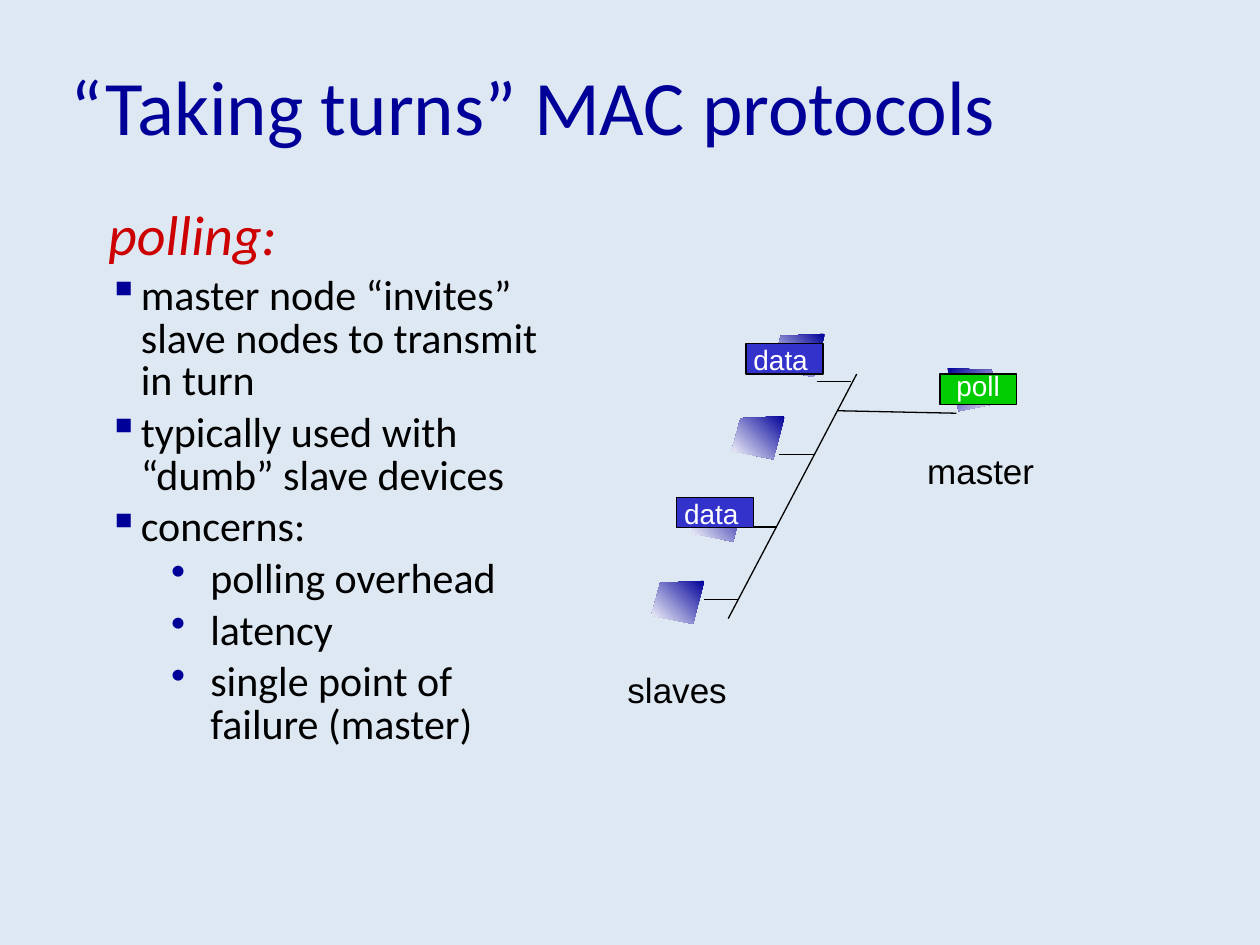
import pptx
import pptx.dml.color
import pptx.enum.shapes
import pptx.enum.text
import pptx.oxml
import pptx.oxml.ns
import pptx.util
from pptx.util import Cm

COLORS = {
    "background": "DEE8F3",
    "navy": "000099",
    "red": "CC0000",
    "black": "000000",
    "white": "FFFFFF",
    "green": "00CC00",
    "blue": "3333CC",
}

TITLE = "“Taking turns” MAC protocols"
HEADING = "polling:"
# Bullet level, text
BULLETS = [
    (0, "master node “invites” slave nodes to transmit in turn"),
    (0, "typically used with “dumb” slave devices"),
    (0, "concerns:"),
    (1, "polling overhead"),
    (1, "latency"),
    (1, "single point of failure (master)"),
]
# Per level: bullet character, left margin, hanging indent
BULLET_STYLES = [("▪", 0.66, 0.66), ("•", 2.06, 0.79)]

# All diagram lengths are in centimetres
SLAVE_COUNT = 4
FIRST_SLAVE, SLAVE_STEP = (13.13, 11.71), (0.81, -1.66)
FIRST_TAP, TAP_STEP, TAP_LENGTH = (14.2, 12.09), (0.755, -1.465), 0.7
MASTER = (19.1, 7.42)
DEVICE_WIDTH = 1.07
DEVICE_OUTLINE = [(1.07, 0), (0.18, 0.04), (0, 0.7), (0.84, 0.87)]
BUS = (17.27, 7.54, 14.68, 12.47)
MASTER_LINK = (16.89, 8.28, 19.28, 8.33)
LABELS = [
    ("master", 18.44, 8.94, 2.67),
    ("slaves", 12.4, 13.36, 2.51),
]
PACKET_SIZE = (1.55, 0.61)
# Text, left, top, fill, text offset across and down, text width
PACKETS = [
    ("poll", 18.95, 7.54, "green", 0.08, -0.23, 1.4),
    ("data", 13.64, 10.03, "blue", -0.1, -0.15, 1.6),
    ("data", 15.04, 6.93, "blue", -0.1, -0.15, 1.6),
]


def rgb(name):
    return pptx.dml.color.RGBColor.from_string(COLORS[name])


def add_run(paragraph, text, size, color, font="Calibri", italic=False):
    run = paragraph.add_run()
    run.text = text
    run.font.name = font
    run.font.size = pptx.util.Pt(size)
    run.font.italic = italic
    run.font.color.rgb = rgb(color)


def add_text_frame(slide, left, top, width, height, wrap=True):
    box = slide.shapes.add_textbox(Cm(left), Cm(top), Cm(width), Cm(height))
    box.text_frame.word_wrap = wrap
    return box.text_frame


def add_label(slide, text, left, top, width, height, size, color):
    frame = add_text_frame(slide, left, top, width, height, wrap=False)
    add_run(frame.paragraphs[0], text, size, color, font="Arial")


def set_indent(paragraph, margin, hanging):
    properties = paragraph._p.get_or_add_pPr()
    properties.set("marL", str(Cm(margin)))
    properties.set("indent", str(-Cm(hanging)))
    return properties


def add_bullet(properties, character):
    namespace = pptx.oxml.ns.nsdecls("a")
    for xml in (
        f'<a:buClr {namespace}><a:srgbClr val="{COLORS["navy"]}"/></a:buClr>',
        f'<a:buChar {namespace} char="{character}"/>',
    ):
        properties.append(pptx.oxml.parse_xml(xml))


def add_body(slide):
    frame = add_text_frame(slide, 1.93, 4.11, 9.6, 14.07)
    heading = frame.paragraphs[0]
    heading.line_spacing = 0.85
    set_indent(heading, 0.97, 0.97)
    add_run(heading, HEADING, 32, "red", italic=True)
    for level, text in BULLETS:
        character, margin, hanging = BULLET_STYLES[level]
        paragraph = frame.add_paragraph()
        paragraph.level = level
        paragraph.line_spacing = 0.85
        paragraph.space_before = pptx.util.Pt(5)
        add_bullet(set_indent(paragraph, margin, hanging), character)
        add_run(paragraph, text, 24, "black")


def add_device(slide, left, top, mirrored=False):
    """Draw a shaded, tilted node whose dark corner is top right, or top left if mirrored."""
    points = [
        (Cm(left + (DEVICE_WIDTH - x if mirrored else x)), Cm(top + y))
        for x, y in DEVICE_OUTLINE
    ]
    builder = slide.shapes.build_freeform(*points[0])
    builder.add_line_segments(points[1:], close=True)
    device = builder.convert_to_shape()
    device.shadow.inherit = False
    device.line.fill.background()
    device.fill.gradient()
    device.fill.gradient_angle = 315 if mirrored else 225
    for stop, color in zip(device.fill.gradient_stops, ("navy", "white")):
        stop.color.rgb = rgb(color)


def add_line(slide, *ends):
    line = slide.shapes.add_connector(
        pptx.enum.shapes.MSO_CONNECTOR.STRAIGHT, *map(Cm, ends)
    )
    line.line.color.rgb = rgb("black")
    line.line.width = pptx.util.Pt(0.75)
    effects = f'<a:effectLst {pptx.oxml.ns.nsdecls("a")}/>'
    line._element.spPr.append(pptx.oxml.parse_xml(effects))


def add_packet(slide, text, left, top, color, across, down, text_width):
    packet = slide.shapes.add_shape(
        pptx.enum.shapes.MSO_SHAPE.RECTANGLE,
        Cm(left), Cm(top), *map(Cm, PACKET_SIZE),
    )
    packet.shadow.inherit = False
    packet.fill.solid()
    packet.fill.fore_color.rgb = rgb(color)
    packet.line.color.rgb = rgb("black")
    packet.line.width = pptx.util.Pt(0.75)
    add_label(slide, text, left + across, top + down, text_width, 0.94, 16, "white")


def main():
    presentation = pptx.Presentation()
    presentation.slide_width, presentation.slide_height = Cm(25.4), Cm(19.05)
    slide = presentation.slides.add_slide(presentation.slide_layouts[6])
    slide.background.fill.solid()
    slide.background.fill.fore_color.rgb = rgb("background")

    title = add_text_frame(slide, 1.17, 0.53, 21.59, 3.18)
    title.vertical_anchor = pptx.enum.text.MSO_ANCHOR.MIDDLE
    add_run(title.paragraphs[0], TITLE, 44, "navy")

    for index in range(SLAVE_COUNT):
        add_device(slide, *(a + index * b for a, b in zip(FIRST_SLAVE, SLAVE_STEP)))
    add_device(slide, *MASTER, mirrored=True)
    add_body(slide)

    add_line(slide, *BUS)
    add_line(slide, *MASTER_LINK)
    for index in range(SLAVE_COUNT):
        x, y = (a + index * b for a, b in zip(FIRST_TAP, TAP_STEP))
        add_line(slide, x, y, x + TAP_LENGTH, y)

    for text, left, top, width in LABELS:
        add_label(slide, text, left, top, width, 1.09, 20, "black")
    for packet in PACKETS:
        add_packet(slide, *packet)

    presentation.save("out.pptx")


if __name__ == "__main__":
    main()
